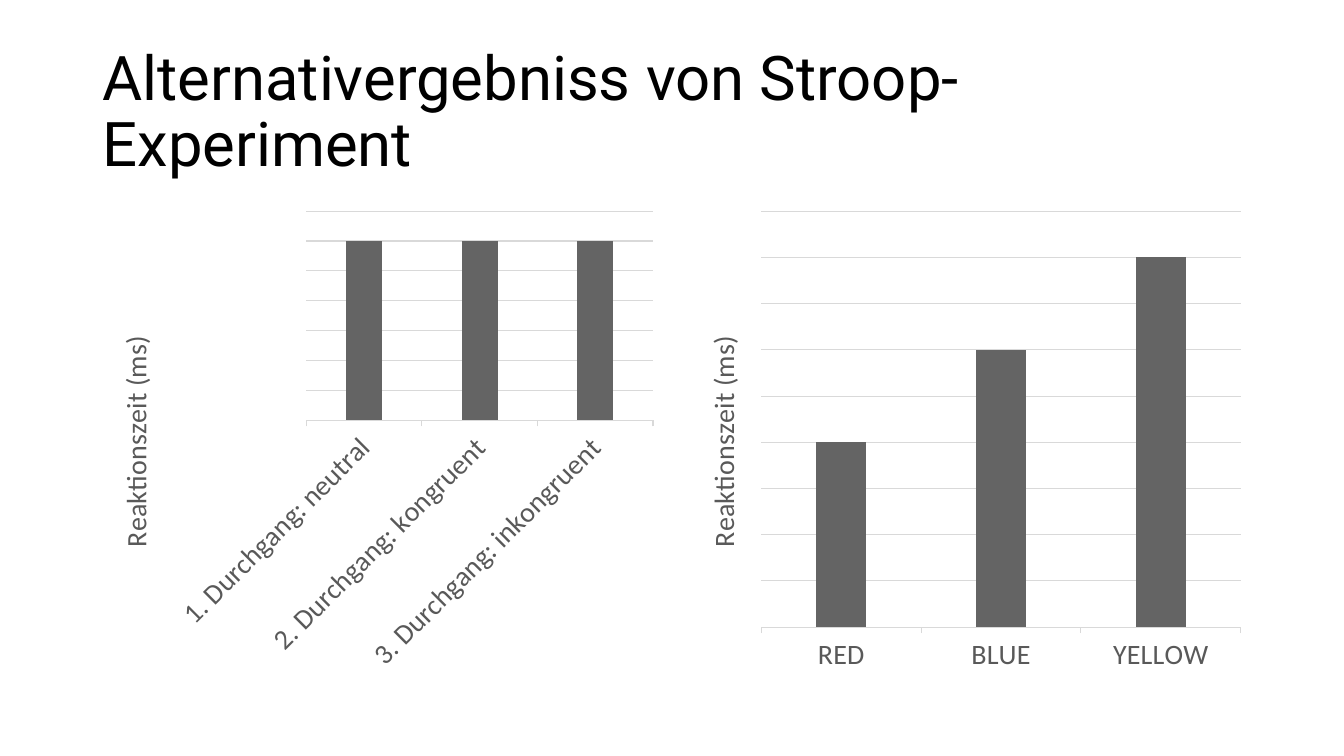
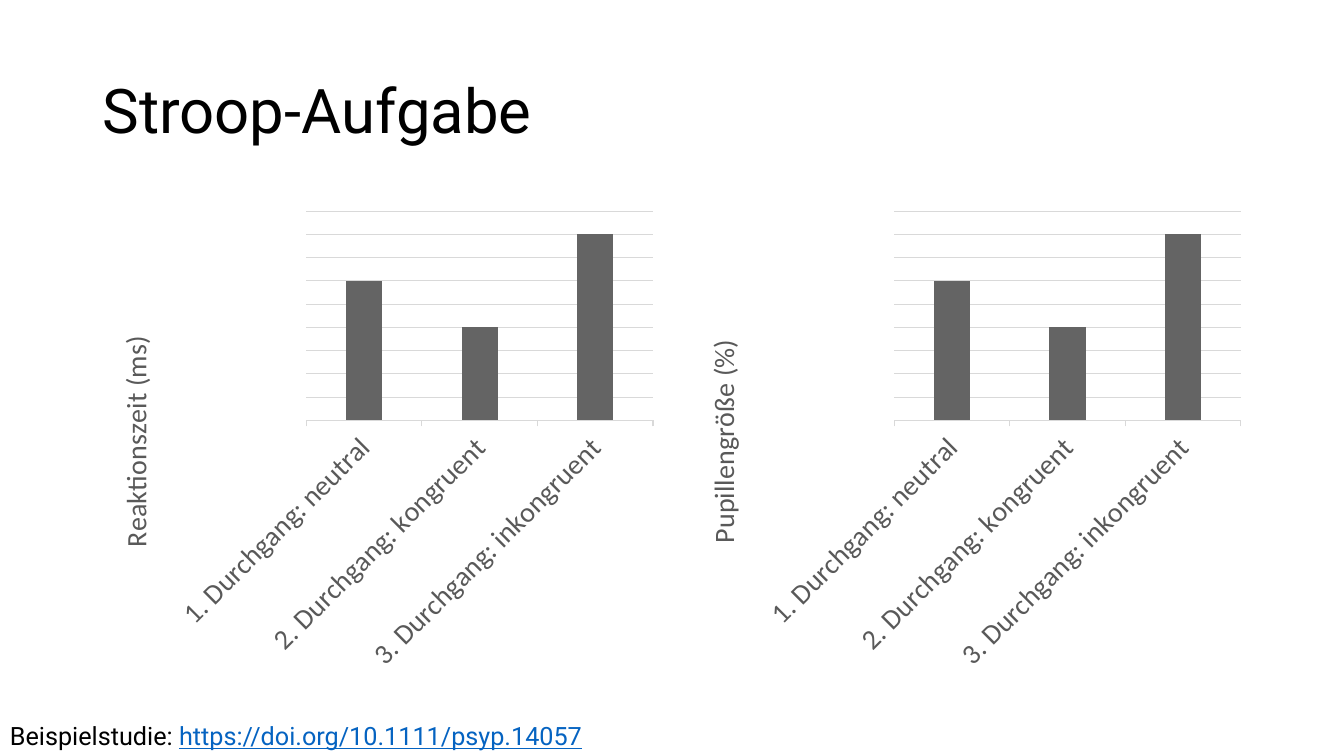
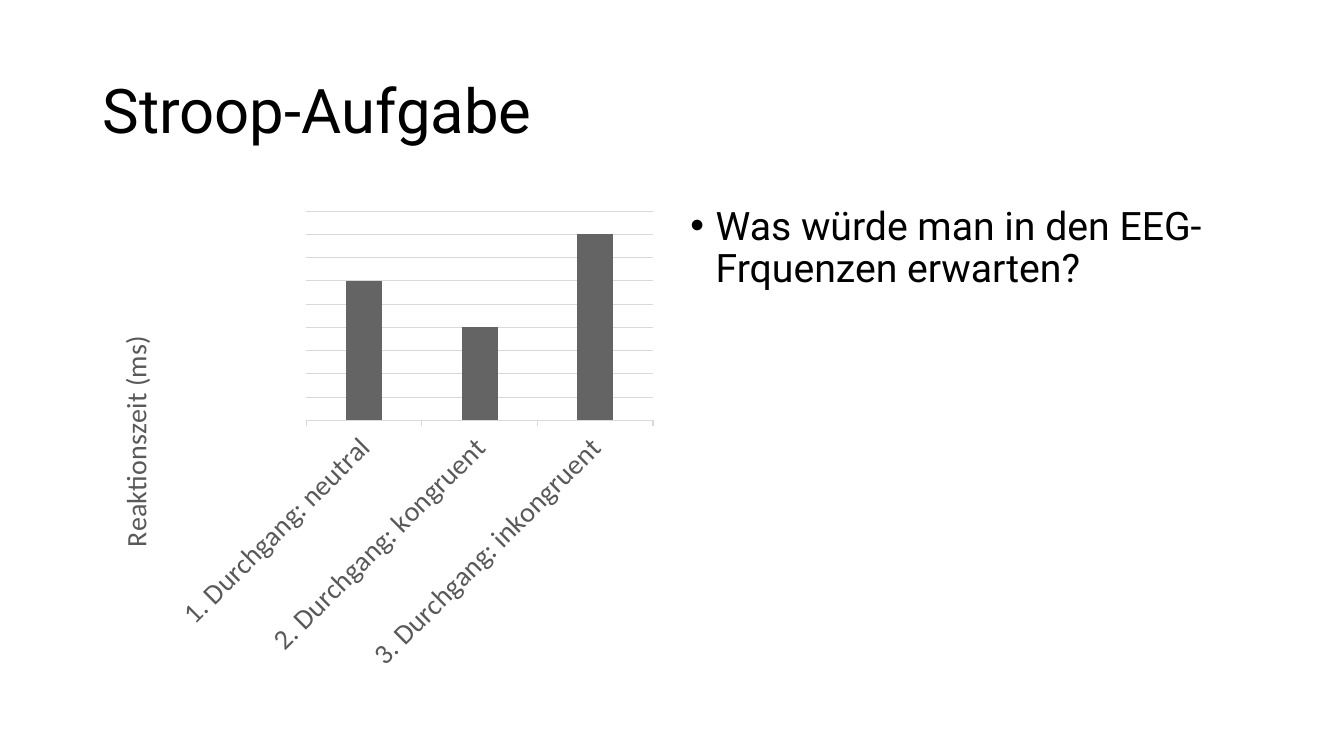
from dataclasses import dataclass

import pptx
import pptx.chart.axis
import pptx.chart.chart
import pptx.chart.data
import pptx.dml.color
import pptx.enum.chart
import pptx.enum.text
import pptx.oxml
import pptx.oxml.ns
import pptx.slide
import pptx.text.text
import pptx.util

Inches = pptx.util.Inches
Pt = pptx.util.Pt
RGBColor = pptx.dml.color.RGBColor

# Shared look
BLACK = RGBColor(0x00, 0x00, 0x00)
LABEL = RGBColor(0x59, 0x59, 0x59)
GRID = RGBColor(0xD9, 0xD9, 0xD9)
BAR = RGBColor(0x64, 0x64, 0x64)
LINK = RGBColor(0x05, 0x63, 0xC1)
SANS = "Roboto"
PLOT = "Calibri"


@dataclass(frozen=True)
class Area:
    left: float
    top: float
    width: float
    height: float

    def box(self) -> tuple[pptx.util.Length, ...]:
        sides = (self.left, self.top, self.width, self.height)
        return tuple(Inches(side) for side in sides)


@dataclass(frozen=True)
class Bars:
    title: str
    cats: tuple[str, ...]
    vals: tuple[int, ...]
    steps: int = 8  # grid steps up to the tallest bar


HEAD = Area(0.92, 0.4, 11.5, 1.45)
LEFT = Area(0.92, 2, 5.67, 4.76)
RIGHT = Area(6.75, 2, 5.67, 4.76)
FOOT = Area(0, 7.1, 6.67, 0.4)

# Chart contents
TIME = "Reaktionszeit (ms)"
RUNS = ("1. Durchgang: neutral", "2. Durchgang: kongruent",
        "3. Durchgang: inkongruent")
EQUAL = Bars(TIME, RUNS, (100, 100, 100), steps=6)
HUES = Bars(TIME, ("RED", "BLUE", "YELLOW"), (50, 75, 100))
SPEED = Bars(TIME, RUNS, (75, 50, 100))
PUPIL = Bars("Pupillengröße (%)", RUNS, (75, 50, 100))


def style(font: pptx.text.text.Font, size: float, color: RGBColor,
          name: str) -> None:
    font.size = Pt(size)
    font.name = name
    font.color.rgb = color


def add_box(slide: pptx.slide.Slide, area: Area) -> pptx.text.text.TextFrame:
    frame = slide.shapes.add_textbox(*area.box()).text_frame
    frame.word_wrap = True
    return frame


def add_slide(deck, title: str) -> pptx.slide.Slide:
    slide = deck.slides.add_slide(deck.slide_layouts[6])
    frame = add_box(slide, HEAD)
    frame.vertical_anchor = pptx.enum.text.MSO_ANCHOR.MIDDLE
    frame.text = title
    para = frame.paragraphs[0]
    para.line_spacing = 0.9
    style(para.runs[0].font, 44, BLACK, SANS)
    return slide


def turn(chart: pptx.chart.chart.Chart, query: str, angle: int) -> None:
    for body in chart.element.xpath(query):
        body.set("rot", str(angle))
        body.set("vert", "horz")


def add_bars(slide: pptx.slide.Slide, area: Area, bars: Bars) -> None:
    kinds = pptx.enum.chart
    data = pptx.chart.data.CategoryChartData()
    data.categories = bars.cats
    data.add_series("Series 1", bars.vals)
    chart = slide.shapes.add_chart(
        kinds.XL_CHART_TYPE.COLUMN_CLUSTERED, *area.box(), data).chart
    chart.has_title = False
    chart.has_legend = False
    style(chart.font, 20, BLACK, PLOT)

    # Columns
    plot = chart.plots[0]
    plot.vary_by_categories = False
    plot.gap_width = 219
    plot.overlap = -27
    fill = plot.series[0].format.fill
    fill.solid()
    fill.fore_color.rgb = BAR

    # Category axis
    cat = chart.category_axis
    cat.major_tick_mark = kinds.XL_TICK_MARK.OUTSIDE
    style(cat.tick_labels.font, 20, LABEL, PLOT)

    # Value axis: only its grid and title show
    val = chart.value_axis
    unit = max(bars.vals) / bars.steps
    val.minimum_scale = 0
    val.maximum_scale = unit * (bars.steps + 1)
    val.major_unit = unit
    val.visible = False
    val.has_major_gridlines = True
    for part in (cat, val.major_gridlines):
        part.format.line.color.rgb = GRID
        part.format.line.width = Pt(0.75)
    frame = val.axis_title.text_frame
    frame.text = bars.title
    font = frame.paragraphs[0].runs[0].font
    style(font, 20, LABEL, PLOT)
    font.bold = False

    # Automatic label angle, upright axis title
    turn(chart, ".//c:catAx/c:txPr/a:bodyPr", -60000000)
    turn(chart, ".//c:valAx/c:title//a:bodyPr", -5400000)


def add_source(slide: pptx.slide.Slide, label: str, link: str) -> None:
    frame = add_box(slide, FOOT)
    frame.auto_size = pptx.enum.text.MSO_AUTO_SIZE.SHAPE_TO_FIT_TEXT
    para = frame.paragraphs[0]
    for text, color in ((label, BLACK), (link, LINK)):
        run = para.add_run()
        run.text = text
        style(run.font, 18, color, SANS)
    para.runs[-1].font.underline = True


def add_point(slide: pptx.slide.Slide, area: Area, text: str) -> None:
    frame = add_box(slide, area)
    frame.text = text
    para = frame.paragraphs[0]
    para.line_spacing = 0.9
    props = para._p.get_or_add_pPr()
    props.set("marL", str(Inches(0.25)))
    props.set("indent", str(Inches(-0.25)))
    space = pptx.oxml.ns.nsdecls("a")
    for mark in (f'<a:buFont {space} typeface="Arial"/>',
                 f'<a:buChar {space} char="•"/>'):
        props.append(pptx.oxml.parse_xml(mark))
    style(para.runs[0].font, 28, BLACK, SANS)


def main() -> None:
    deck = pptx.Presentation()
    deck.slide_width = Inches(13.33)
    deck.slide_height = Inches(7.5)

    # Alternative results
    slide = add_slide(deck, "Alternativergebniss von Stroop-Experiment")
    add_bars(slide, LEFT, EQUAL)
    add_bars(slide, RIGHT, HUES)

    # Reaction time and pupil size
    slide = add_slide(deck, "Stroop-Aufgabe")
    add_bars(slide, RIGHT, PUPIL)
    add_bars(slide, LEFT, SPEED)
    add_source(slide, "Beispielstudie: ", "https://doi.org/10.1111/psyp.14057")

    # Question on EEG
    slide = add_slide(deck, "Stroop-Aufgabe")
    add_bars(slide, LEFT, SPEED)
    add_point(slide, RIGHT, "Was würde man in den EEG-Frquenzen erwarten?")

    deck.save("out.pptx")


if __name__ == "__main__":
    main()
